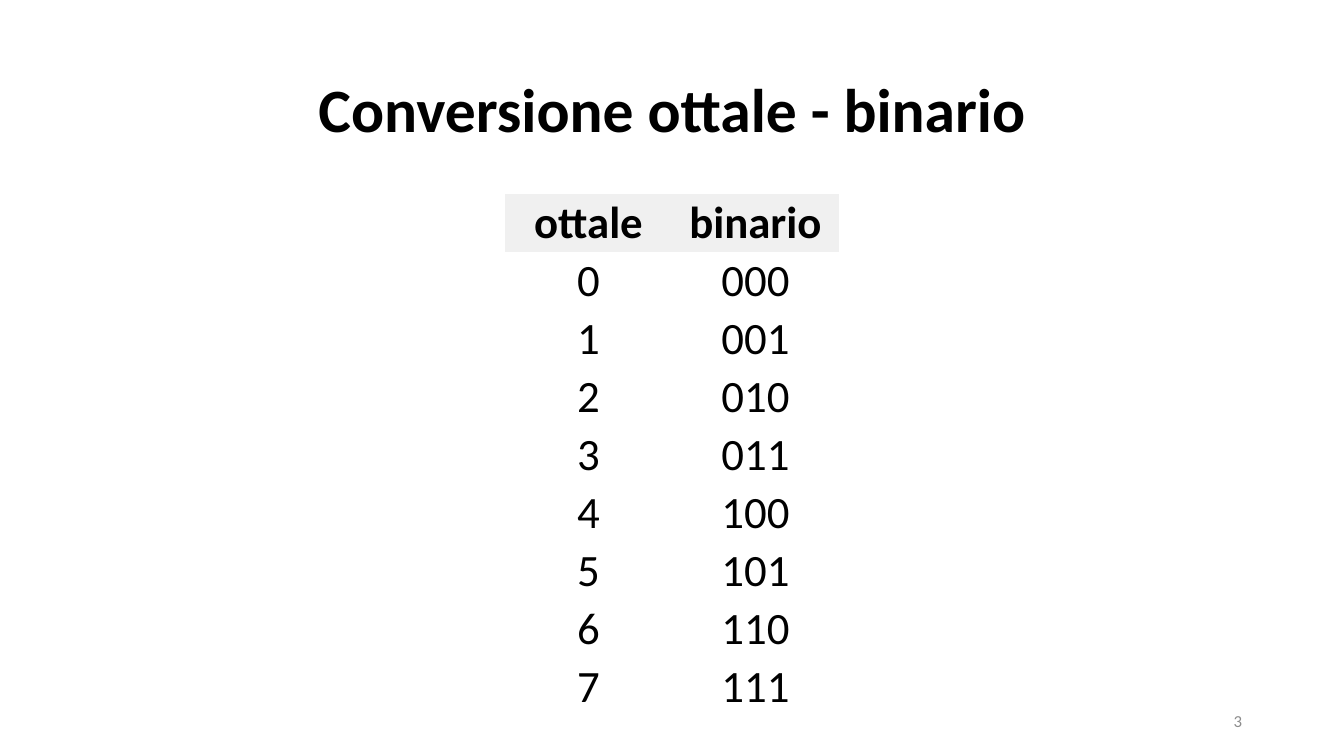
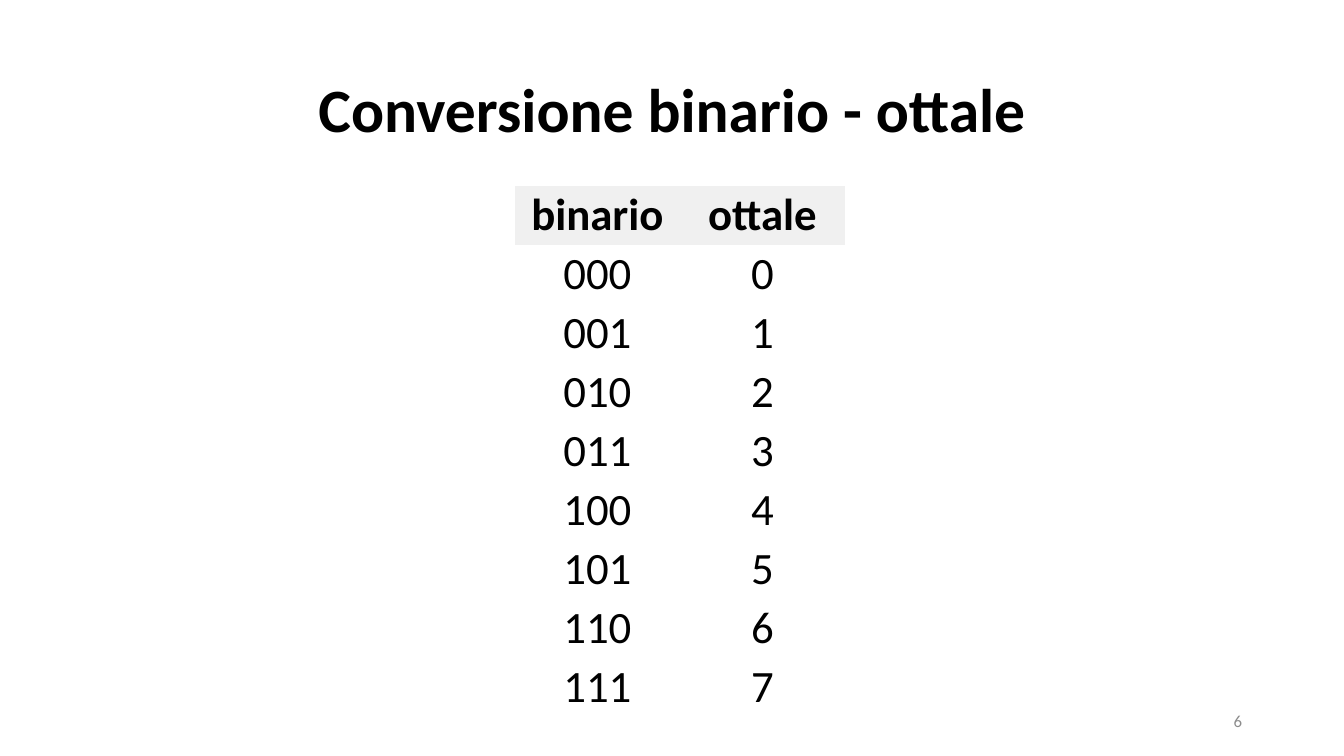
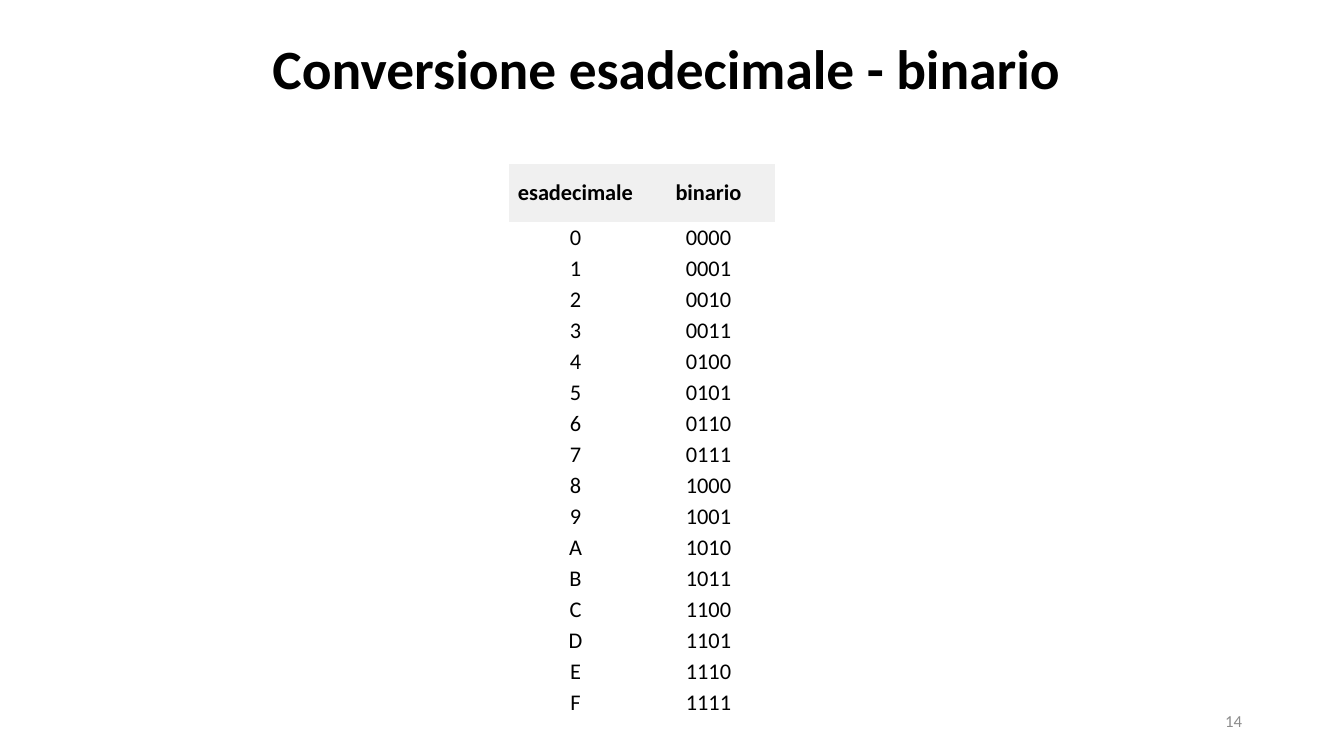
from pptx import Presentation
from pptx.dml.color import RGBColor
from pptx.enum.text import MSO_ANCHOR as Anchor, MSO_AUTO_SIZE as AutoSize, PP_ALIGN as Align
from pptx.oxml.ns import qn
from pptx.util import Emu, Pt

BLACK = RGBColor(0x00, 0x00, 0x00)
GRAY = RGBColor(0x8C, 0x8C, 0x8C)
HEADER_FILL = RGBColor(0xF0, 0xF0, 0xF0)
FONT = "Calibri"
PLAIN_TABLE_STYLE = "{2D5ABB26-0587-4C30-8999-92F81FD0307C}"
TITLE_ONLY = 5


def px(pixels):
    return Emu(round(pixels * 914400 / 100.8))


def write(text_frame, text, size, color=BLACK, bold=False, align=Align.CENTER, line_spacing=None):
    paragraph = text_frame.paragraphs[0]
    paragraph.alignment = align
    paragraph.line_spacing = line_spacing
    run = paragraph.add_run()
    run.text = text
    run.font.name = FONT
    run.font.size = Pt(size)
    run.font.bold = bold
    run.font.color.rgb = color


class Deck:
    def __init__(self):
        self.presentation = Presentation()
        self.presentation.slide_width = px(1344)
        self.presentation.slide_height = px(756)
        self.slide = None

    def add_slide(self, number):
        layout = self.presentation.slide_layouts[TITLE_ONLY]
        self.slide = self.presentation.slides.add_slide(layout)
        self.page_number(number)

    def title(self, text, size=44, height=146, right_inset=10, bottom_inset=5):
        shape = self.slide.shapes.title
        shape.left, shape.top, shape.width, shape.height = px(93), px(40), px(1159), px(height)
        frame = shape.text_frame
        frame.word_wrap = True
        frame.auto_size = AutoSize.NONE
        frame.vertical_anchor = Anchor.MIDDLE
        frame.margin_left, frame.margin_right = px(10), px(right_inset)
        frame.margin_top, frame.margin_bottom = px(5), px(bottom_inset)
        write(frame, text, size, bold=True, line_spacing=0.9)

    def page_number(self, number):
        shape = self.slide.shapes.add_textbox(px(950), px(701), px(302), px(40))
        frame = shape.text_frame
        frame.word_wrap = True
        frame.vertical_anchor = Anchor.MIDDLE
        write(frame, str(number), 12, color=GRAY, align=Align.RIGHT)

    def table(self, rows, left, top, column_width, header_height, row_height, size):
        column_count = len(rows[0])
        height = header_height + row_height * (len(rows) - 1)
        shape = self.slide.shapes.add_table(
            len(rows), column_count, px(left), px(top), px(column_width * column_count), px(height))
        for style in shape.element.iter(qn("a:tableStyleId")):
            style.text = PLAIN_TABLE_STYLE
        table = shape.table
        table.horz_banding = False
        for row_index, values in enumerate(rows):
            is_header = row_index == 0
            table.rows[row_index].height = px(header_height if is_header else row_height)
            for column_index, value in enumerate(values):
                self.cell(table.cell(row_index, column_index), value, size, is_header)

    def cell(self, cell, text, size, is_header):
        cell.margin_left = cell.margin_right = cell.margin_top = cell.margin_bottom = px(2)
        cell.vertical_anchor = Anchor.MIDDLE
        if is_header:
            cell.fill.solid()
            cell.fill.fore_color.rgb = HEADER_FILL
        else:
            cell.fill.background()
        write(cell.text_frame, text, size, bold=is_header)


def conversion_rows(base_name, bits):
    digits = [(f"{value:X}", f"{value:0{bits}b}") for value in range(2 ** bits)]
    return [(base_name, "binario")] + digits


octal_rows = conversion_rows("ottale", 3)
deck = Deck()

deck.add_slide(3)
deck.title("Conversione ottale - binario")
deck.table(octal_rows, left=505, top=194, column_width=167,
           header_height=58, row_height=58, size=32)

deck.add_slide(6)
deck.title("Conversione binario - ottale")
deck.table([row[::-1] for row in octal_rows], left=515, top=186, column_width=165,
           header_height=59, row_height=59, size=32)

deck.add_slide(14)
deck.title("Conversione esadecimale - binario", size=39.6, height=124, right_inset=22, bottom_inset=66)
deck.table(conversion_rows("esadecimale", 4), left=509, top=164, column_width=133,
           header_height=58, row_height=31, size=16)

deck.presentation.save("out.pptx")
